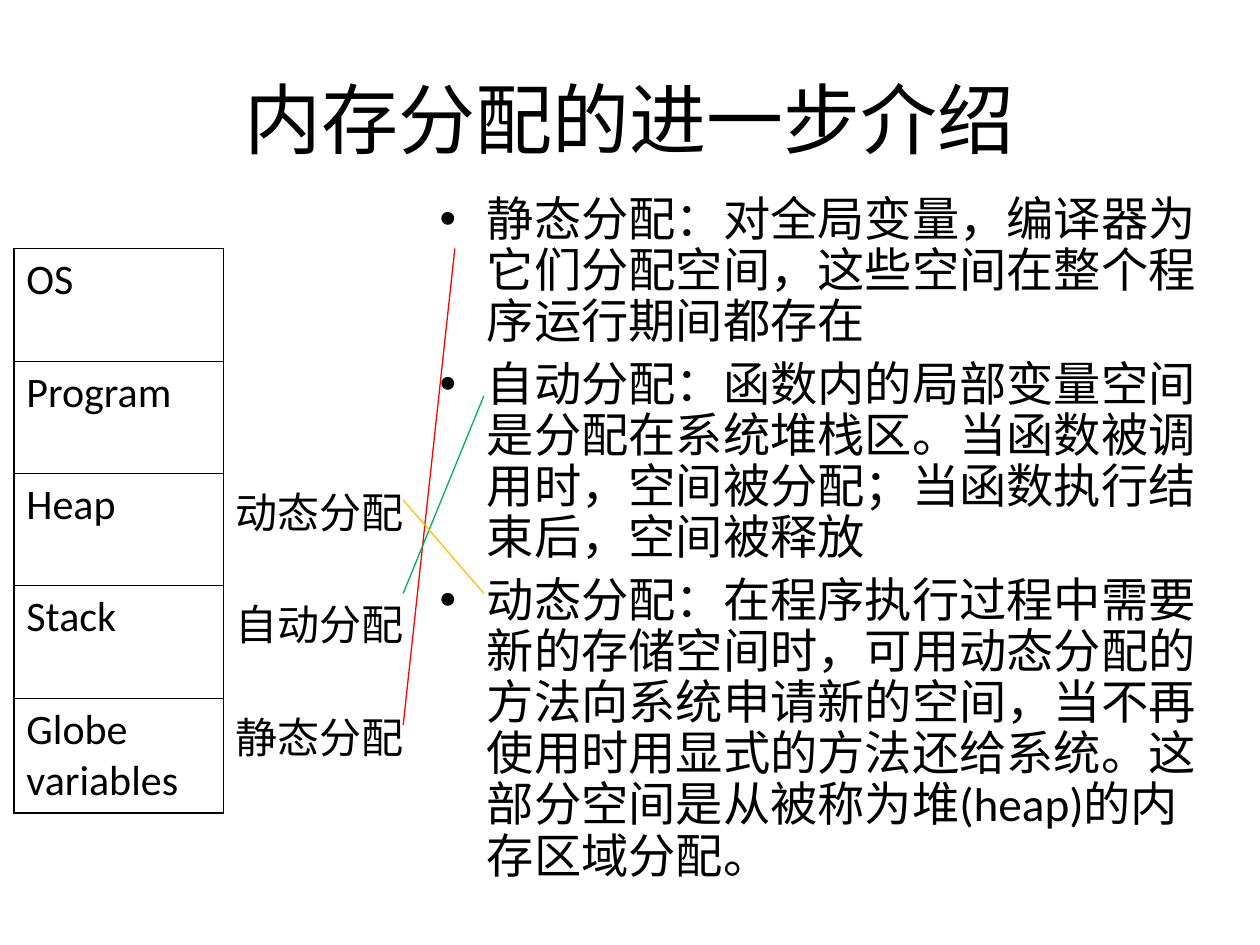
from typing import NamedTuple

from lxml import etree
from pptx import Presentation
from pptx import util as u
from pptx.dml.color import RGBColor
from pptx.enum import shapes, text
from pptx.oxml.ns import qn

WIDTH, HEIGHT = 10, 7.5
FONT, BLACK = "Calibri", "000000"
THICK, THIN, NONE = 1.08, 0.45, 0
INDENT = 0.375

TITLE = "内存分配的进一步介绍"
POINTS = [
    "静态分配：对全局变量，编译器为它们分配空间，这些空间在整个程序运行期间都存在",
    "自动分配：函数内的局部变量空间是分配在系统堆栈区。当函数被调用时，空间被分配；当函数执行结束后，空间被释放",
    "动态分配：在程序执行过程中需要新的存储空间时，可用动态分配的方法向系统申请新的空间，"
    "当不再使用时用显式的方法还给系统。这部分空间是从被称为堆(heap)的内存区域分配。",
]
MEMORY = [
    ("OS", ""),
    ("Program", ""),
    ("Heap", "动态分配"),
    ("Stack", "自动分配"),
    ("Globe variables", "静态分配"),
]


class Area(NamedTuple):
    """Left, top, width and height as shares of the slide's size."""
    left: float
    top: float
    width: float
    height: float

    def lengths(self) -> list:
        return [u.Inches(share * size) for share, size in zip(self, (WIDTH, HEIGHT) * 2)]


class Link(NamedTuple):
    start: tuple
    end: tuple
    color: str


LINKS = [
    Link((0.361, 0.263), (0.32, 0.767), "FF0000"),
    Link((0.32, 0.628), (0.384, 0.419), "00B050"),
    Link((0.32, 0.529), (0.384, 0.628), "FFC000"),
]


def rgb(color: str) -> RGBColor:
    return RGBColor.from_string(color)


def apply(target, formats: dict) -> None:
    for name, value in formats.items():
        setattr(target, name, value)


def style_font(para, size: float) -> None:
    apply(para.font, {"size": u.Pt(size), "name": FONT})
    para.font.color.rgb = rgb(BLACK)


def add_bullet(para) -> None:
    props = para._p.get_or_add_pPr()
    apply_indent = {"marL": u.Inches(INDENT), "indent": -u.Inches(INDENT)}
    for name, value in apply_indent.items():
        props.set(name, str(int(value)))
    etree.SubElement(props, qn("a:buFont")).set("typeface", "Arial")
    etree.SubElement(props, qn("a:buChar")).set("char", "•")


def add_text(page, area: Area, lines: list, size: float, anchor, formats: dict,
             bullets: bool = False, gap: float = 0) -> None:
    box = page.shapes.add_textbox(*area.lengths())
    frame = box.text_frame
    apply(frame, {"word_wrap": True, "vertical_anchor": anchor,
                  "auto_size": text.MSO_AUTO_SIZE.NONE})
    for number, line in enumerate(lines):
        para = frame.add_paragraph() if number else frame.paragraphs[0]
        para.text = line
        apply(para, formats)
        if number:
            para.space_before = u.Pt(gap)
        if bullets:
            add_bullet(para)
        style_font(para, size)


def set_borders(cell, widths: dict) -> None:
    """Draw each side (L, R, T, B) with its width in points; 0 hides it."""
    props = cell._tc.get_or_add_tcPr()
    for position, (side, width) in enumerate(widths.items()):
        edge = etree.Element(qn(f"a:ln{side}"), w=str(int(u.Pt(width))))
        if width:
            fill = etree.SubElement(edge, qn("a:solidFill"))
            etree.SubElement(fill, qn("a:srgbClr")).set("val", BLACK)
        else:
            etree.SubElement(edge, qn("a:noFill"))
        props.insert(position, edge)


def add_memory_table(page, area: Area) -> None:
    last = len(MEMORY) - 1
    table = page.shapes.add_table(len(MEMORY), 2, *area.lengths()).table
    apply(table, {"first_row": False, "horz_banding": False})
    for column, width in zip(table.columns, (1.66, 1.62)):
        column.width = u.Inches(width)
    for row, words in enumerate(MEMORY):
        for column, word in enumerate(words):
            cell = table.cell(row, column)
            cell.text = word
            cell.fill.background()
            style_font(cell.text_frame.paragraphs[0], 24)
            if column:
                sides = {"L": THIN, "R": NONE, "T": NONE, "B": NONE}
            else:
                sides = {"L": THICK, "R": THIN,
                         "T": THIN if row else THICK,
                         "B": THICK if row == last else THIN}
            set_borders(cell, sides)
    table.cell(0, 1).merge(table.cell(1, 1))


def add_link(page, link: Link) -> None:
    ends = [u.Inches(share * size)
            for point in (link.start, link.end)
            for share, size in zip(point, (WIDTH, HEIGHT))]
    line = page.shapes.add_connector(shapes.MSO_CONNECTOR.STRAIGHT, *ends)
    line.line.width = u.Pt(0.75)
    line.line.color.rgb = rgb(link.color)
    etree.SubElement(line._element.spPr, qn("a:effectLst"))


def main() -> None:
    deck = Presentation()
    apply(deck, {"slide_width": u.Inches(WIDTH), "slide_height": u.Inches(HEIGHT)})
    page = deck.slides.add_slide(deck.slide_layouts[6])
    add_text(page, Area(0.075, 0.041, 0.85, 0.167), [TITLE], 44,
             text.MSO_ANCHOR.MIDDLE, {"alignment": text.PP_ALIGN.CENTER})
    add_text(page, Area(0.339, 0.2, 0.626, 0.744), POINTS, 27,
             text.MSO_ANCHOR.TOP, {"line_spacing": 0.9}, bullets=True, gap=6.8)
    add_memory_table(page, Area(0.011, 0.263, 0.328, 0.595))
    for link in LINKS:
        add_link(page, link)
    deck.save("out.pptx")


if __name__ == "__main__":
    main()
